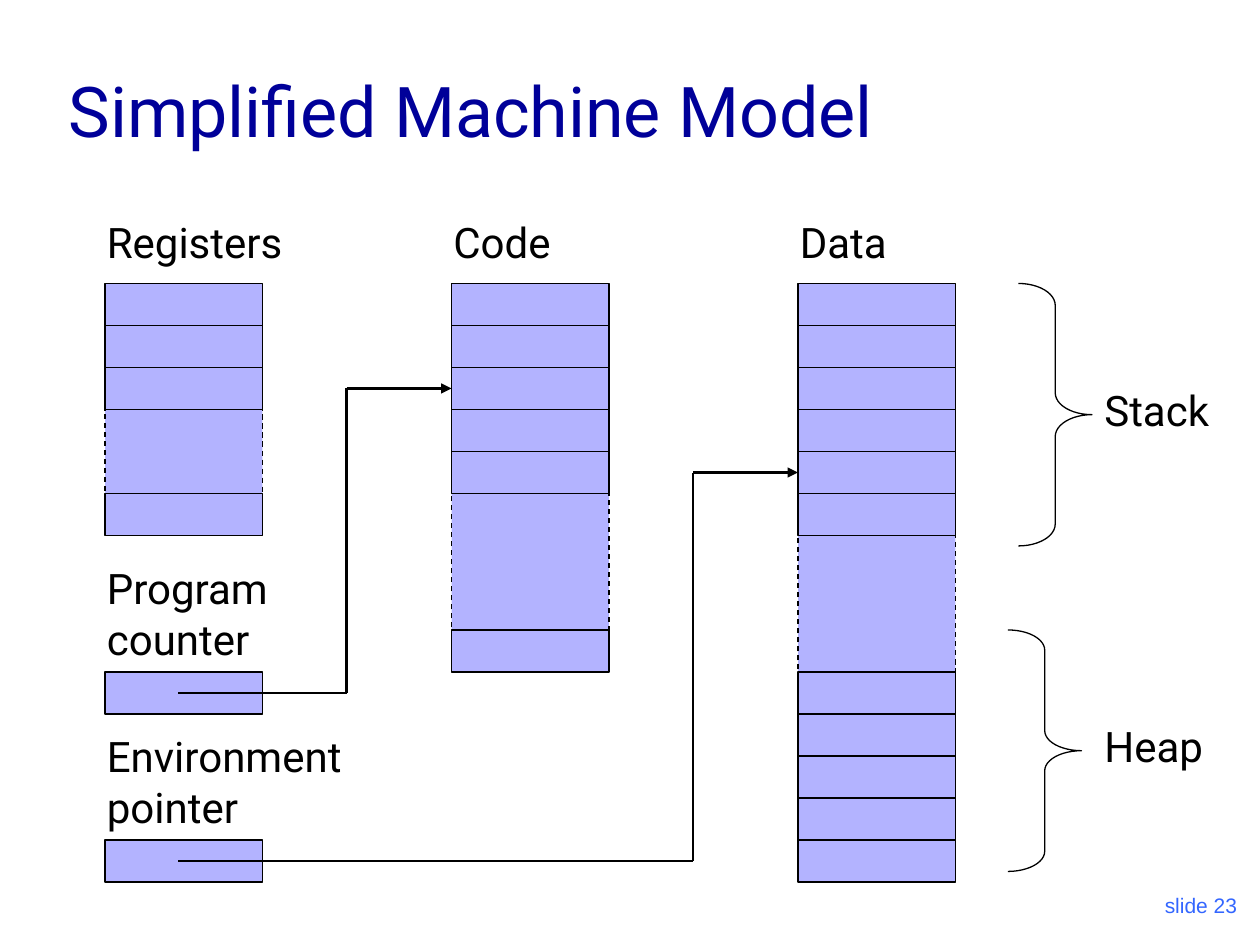
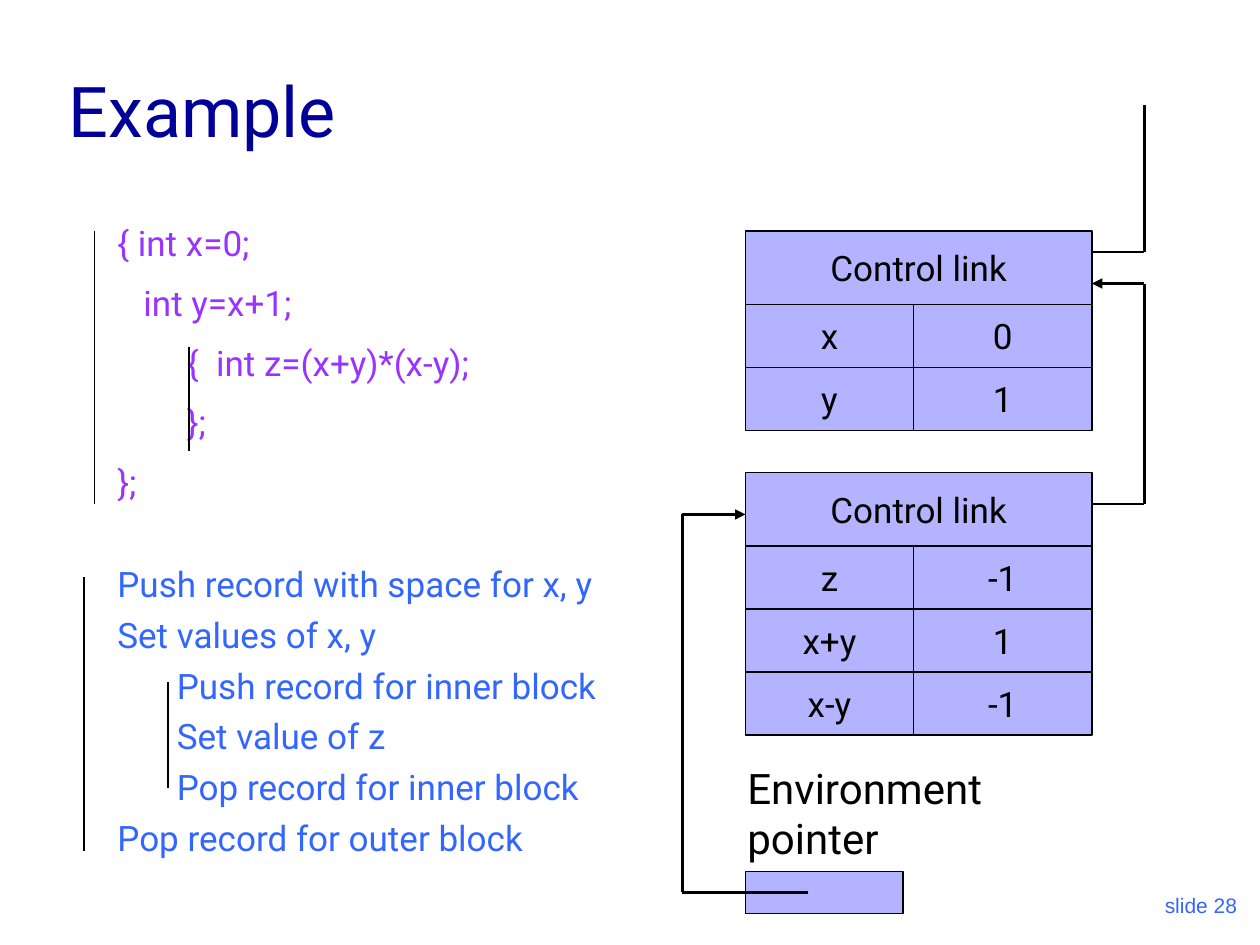
from lxml.etree import SubElement
from pptx import Presentation
from pptx.dml.color import RGBColor
from pptx.enum.dml import MSO_LINE
from pptx.enum.shapes import MSO_CONNECTOR, MSO_SHAPE
from pptx.enum.text import MSO_ANCHOR as Anchor, PP_ALIGN as Align
from pptx.oxml.ns import qn
from pptx.util import Pt

BLACK = RGBColor(0x00, 0x00, 0x00)
NAVY = RGBColor(0x00, 0x00, 0x99)
BLUE = RGBColor(0x33, 0x66, 0xFF)
PURPLE = RGBColor(0x99, 0x33, 0xFF)
LAVENDER = RGBColor(0xB3, 0xB3, 0xFF)
FONT = "Roboto"

CELL_WIDTH, CELL_HEIGHT = 90, 24
MEMORY_TOP = 162

MEMORY_COLUMNS = [
    {"name": "Registers", "left": 60, "before": 3, "gap": 48, "after": 1},
    {"name": "Code", "left": 258, "before": 5, "gap": 78, "after": 1},
    {"name": "Data", "left": 456, "before": 6, "gap": 78, "after": 5},
]
POINTERS = [
    ("Program counter", 60, 384, [(102, 396), (198, 396), (198, 222), (258, 222)]),
    ("Environment pointer", 60, 480, [(102, 492), (396, 492), (396, 270), (456, 270)]),
]
REGIONS = [("Stack", 216, 582, 162, 150), ("Heap", 408, 576, 360, 138)]

CODE = [
    "{ int x=0;",
    "   int y=x+1;",
    "        {  int z=(x+y)*(x-y);",
    "        };",
    "};",
]
STEPS = [
    (0, "Push record with space for x, y"),
    (0, "Set values of x, y"),
    (1, "Push record for inner block"),
    (1, "Set value of z"),
    (1, "Pop record for inner block"),
    (0, "Pop record for outer block"),
]
SCOPE_BARS = [(54, 132, 288), (108, 198, 258), (48, 330, 486), (96, 390, 450)]

RECORD_LEFT, NAME_WIDTH, VALUE_WIDTH = 426, 96, 102
LINK_HEIGHT, ROW_HEIGHT = 42, 36
RECORDS = [
    (132, [("x", "0"), ("y", "1")]),
    (270, [("z", "-1"), ("x+y", "1"), ("x-y", "-1")]),
]
OUTER_LINK = [(624, 144), (654, 144), (654, 60)]
INNER_LINK = [(624, 288), (654, 288), (654, 162), (624, 162)]
EXAMPLE_POINTER = (
    "Environment pointer", 426, 498, [(462, 510), (390, 510), (390, 294), (426, 294)]
)


def style(paragraph, size, color, font=FONT):
    for run in paragraph.runs:
        run.font.name = font
        run.font.size = Pt(size)
        run.font.color.rgb = color


def add_page(presentation, title, number):
    slide = presentation.slides.add_slide(presentation.slide_layouts[5])
    shape = slide.shapes.title
    shape.left, shape.top, shape.width, shape.height = Pt(32), Pt(18), Pt(612), Pt(72)
    frame = shape.text_frame
    frame.text = title
    frame.vertical_anchor = Anchor.BOTTOM
    frame.paragraphs[0].alignment = Align.LEFT
    style(frame.paragraphs[0], 40, NAVY)

    footer = add_text(slide, [f"slide {number}"], (564, 492, 150, 36), 12, BLUE, "Arial")
    footer.vertical_anchor = Anchor.BOTTOM
    footer.paragraphs[0].alignment = Align.RIGHT
    return slide


def add_text(slide, lines, box, size, color, font=FONT):
    frame = slide.shapes.add_textbox(*map(Pt, box)).text_frame
    frame.word_wrap = True
    for index, line in enumerate(lines):
        paragraph = frame.add_paragraph() if index else frame.paragraphs[0]
        paragraph.text = line
        style(paragraph, size, color, font)
    return frame


def add_label(slide, text, left, top, width=150, height=36):
    add_text(slide, [text], (left, top, width, height), 24, BLACK)


def add_cell(slide, left, top, width=CELL_WIDTH, height=CELL_HEIGHT, text="", dashed=False):
    shape = slide.shapes.add_shape(MSO_SHAPE.RECTANGLE, *map(Pt, (left, top, width, height)))
    shape.shadow.inherit = False
    shape.fill.solid()
    shape.fill.fore_color.rgb = LAVENDER
    shape.line.color.rgb = BLACK
    shape.line.width = Pt(0.75)
    if dashed:
        shape.line.dash_style = MSO_LINE.DASH
    if text:
        frame = shape.text_frame
        frame.text = text
        frame.word_wrap = False
        frame.vertical_anchor = Anchor.MIDDLE
        frame.paragraphs[0].alignment = Align.CENTER
        style(frame.paragraphs[0], 20, BLACK)


def add_line(slide, start, end, width):
    line = slide.shapes.add_connector(MSO_CONNECTOR.STRAIGHT, *map(Pt, (*start, *end)))
    line.line.color.rgb = BLACK
    line.line.width = Pt(width)
    SubElement(line._element.spPr, qn("a:effectLst"))
    return line


def add_route(slide, points, arrow=True):
    for start, end in zip(points, points[1:]):
        line = add_line(slide, start, end, 1.5)
    if arrow:
        SubElement(line.line._get_or_add_ln(), qn("a:tailEnd"), type="triangle")


def add_pointer(slide, text, left, top, route):
    add_label(slide, text, left - 6, top - 66, height=65)
    add_cell(slide, left, top)
    add_route(slide, route)


def add_memory_column(slide, name, left, before, gap, after):
    add_label(slide, name, left - 6, 120)
    gap_top = MEMORY_TOP + before * CELL_HEIGHT
    add_cell(slide, left, gap_top, height=gap, dashed=True)
    for first_top, count in ((MEMORY_TOP, before), (gap_top + gap, after)):
        for row in range(count):
            add_cell(slide, left, first_top + row * CELL_HEIGHT)


def add_region(slide, name, label_top, left, top, height):
    add_label(slide, name, 624, label_top, width=78)
    width = 42
    brace = slide.shapes.add_shape(MSO_SHAPE.RIGHT_BRACE, *map(Pt, (left, top, width, height)))
    brace.adjustments[0] = height / 12 / width
    brace.shadow.inherit = False
    brace.fill.background()
    brace.line.color.rgb = BLACK
    brace.line.width = Pt(0.75)


def add_record(slide, top, rows):
    add_cell(slide, RECORD_LEFT, top, NAME_WIDTH + VALUE_WIDTH, LINK_HEIGHT, "Control link")
    for index, (name, value) in enumerate(rows):
        row_top = top + LINK_HEIGHT + index * ROW_HEIGHT
        add_cell(slide, RECORD_LEFT, row_top, NAME_WIDTH, ROW_HEIGHT, name)
        add_cell(slide, RECORD_LEFT + NAME_WIDTH, row_top, VALUE_WIDTH, ROW_HEIGHT, value)


def set_spacing(frame, before, line_spacing, levels):
    for index, (paragraph, level) in enumerate(zip(frame.paragraphs, levels)):
        paragraph.space_before = Pt(before if index else 0)
        paragraph.line_spacing = line_spacing
        paragraph._p.get_or_add_pPr().set("marL", str(Pt(36 + 34 * level)))


def build_machine_model(presentation):
    slide = add_page(presentation, "Simplified Machine Model", 23)
    for column in MEMORY_COLUMNS:
        add_memory_column(slide, **column)
    for region in REGIONS:
        add_region(slide, *region)
    for pointer in POINTERS:
        add_pointer(slide, *pointer)


def build_example(presentation):
    slide = add_page(presentation, "Example", 28)
    code = add_text(slide, CODE, (24, 126, 288, 192), 20, PURPLE)
    set_spacing(code, 12.5, 0.9, [0] * len(CODE))
    levels, steps = zip(*STEPS)
    step_list = add_text(slide, steps, (24, 318, 366, 204), 20, BLUE)
    set_spacing(step_list, 5, 1.0, levels)
    for left, top, bottom in SCOPE_BARS:
        add_line(slide, (left, top), (left, bottom), 0.75)
    for record in RECORDS:
        add_record(slide, *record)
    add_route(slide, OUTER_LINK, arrow=False)
    add_route(slide, INNER_LINK)
    add_pointer(slide, *EXAMPLE_POINTER)


def main():
    presentation = Presentation()
    presentation.slide_width, presentation.slide_height = Pt(720), Pt(540)
    build_machine_model(presentation)
    build_example(presentation)
    presentation.save("out.pptx")


if __name__ == "__main__":
    main()
